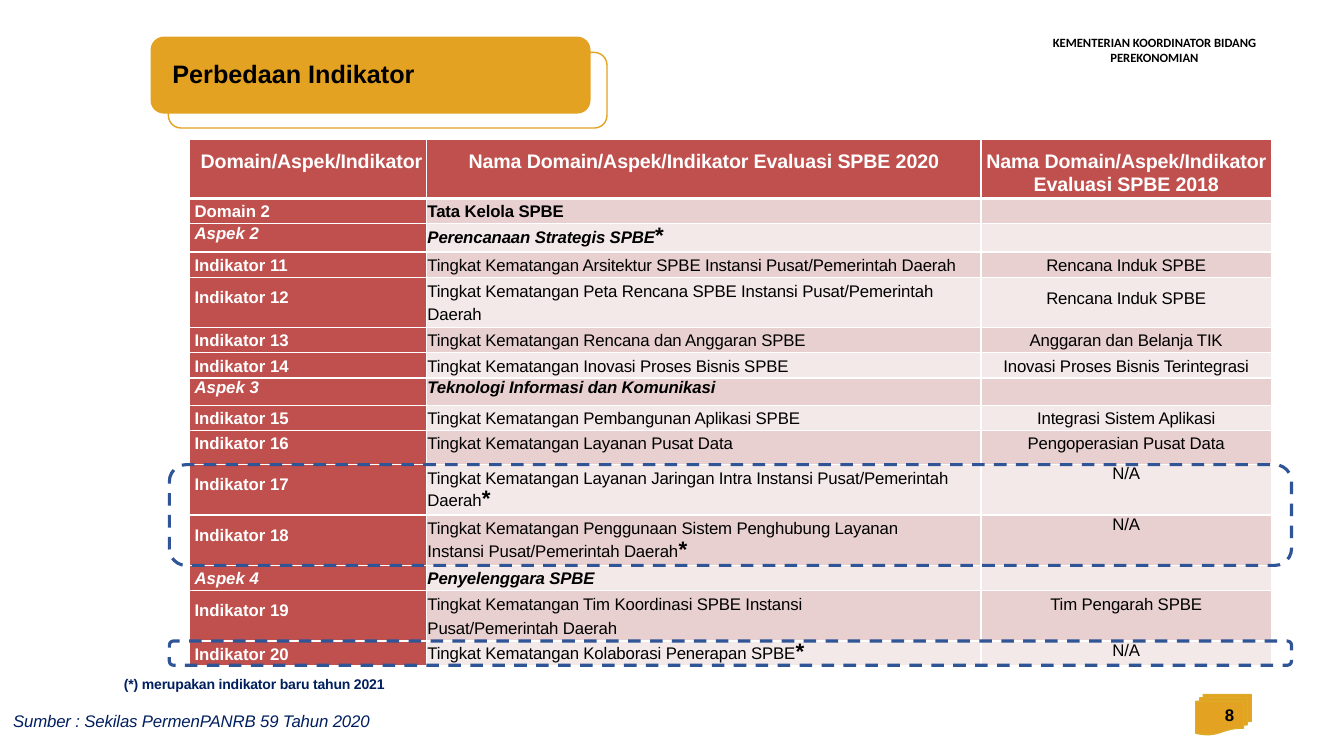
import itertools

import lxml.etree
import pptx
import pptx.dml.color
import pptx.enum.dml
import pptx.enum.shapes
import pptx.enum.text
import pptx.oxml.ns
import pptx.util

RGBColor = pptx.dml.color.RGBColor
Inches = pptx.util.Inches
Pt = pptx.util.Pt
Align = pptx.enum.text.PP_ALIGN
Anchor = pptx.enum.text.MSO_ANCHOR
Shape = pptx.enum.shapes.MSO_SHAPE

BLACK = RGBColor(0x00, 0x00, 0x00)
WHITE = RGBColor(0xFF, 0xFF, 0xFF)
GOLD = RGBColor(0xE3, 0xA2, 0x21)
DARK_GOLD = RGBColor(0xDC, 0xAB, 0x27)
RED = RGBColor(0xC0, 0x50, 0x4D)
PINK = RGBColor(0xE8, 0xD0, 0xD0)
PALE_PINK = RGBColor(0xF4, 0xE9, 0xE9)
NAVY = RGBColor(0x00, 0x1F, 0x5F)
FRAME_BLUE = RGBColor(0x2F, 0x55, 0x97)

TABLE_BOX = (1.88, 1.38, 10.73, 5.23)
COLUMN_WIDTHS = (2.35, 5.5, 2.88)
HEADER_HEIGHT = 0.59
HEADINGS = ("Domain/Aspek/Indikator",
            "Nama Domain/Aspek/Indikator Evaluasi SPBE 2020",
            "Nama Domain/Aspek/Indikator Evaluasi SPBE 2018")

# Row height, label, name in 2020 (a final * marks a new indicator), name in 2018
ROWS = (
    (0.25, "Domain 2", "Tata Kelola SPBE", ""),
    (0.28, "Aspek 2", "Perencanaan Strategis SPBE*", ""),
    (0.25, "Indikator 11", "Tingkat Kematangan Arsitektur SPBE Instansi Pusat/Pemerintah Daerah",
     "Rencana Induk SPBE"),
    (0.5, "Indikator 12", "Tingkat Kematangan Peta Rencana SPBE Instansi Pusat/Pemerintah\nDaerah",
     "Rencana Induk SPBE"),
    (0.25, "Indikator 13", "Tingkat Kematangan Rencana dan Anggaran SPBE", "Anggaran dan Belanja TIK"),
    (0.25, "Indikator 14", "Tingkat Kematangan Inovasi Proses Bisnis SPBE",
     "Inovasi Proses Bisnis Terintegrasi"),
    (0.27, "Aspek 3", "Teknologi Informasi dan Komunikasi", ""),
    (0.25, "Indikator 15", "Tingkat Kematangan Pembangunan Aplikasi SPBE", "Integrasi Sistem Aplikasi"),
    (0.34, "Indikator 16", "Tingkat Kematangan Layanan Pusat Data", "Pengoperasian Pusat Data"),
    (0.5, "Indikator 17",
     "Tingkat Kematangan Layanan Jaringan Intra Instansi Pusat/Pemerintah Daerah*", "N/A"),
    (0.5, "Indikator 18",
     "Tingkat Kematangan Penggunaan Sistem Penghubung Layanan Instansi Pusat/Pemerintah Daerah*", "N/A"),
    (0.25, "Aspek 4", "Penyelenggara SPBE", ""),
    (0.5, "Indikator 19", "Tingkat Kematangan Tim Koordinasi SPBE Instansi Pusat/Pemerintah Daerah",
     "Tim Pengarah SPBE"),
    (0.24, "Indikator 20", "Tingkat Kematangan Kolaborasi Penerapan SPBE*", "N/A"),
)
NEW_ROW_RANGES = ((9, 10), (13, 13))
NARROW_LABELS = ("Indikator 18", "Indikator 19")


def inches(box):
    return [Inches(length) for length in box]


def write_text(frame, text, size=12, color=BLACK, font="Arial", bold=False, italic=False,
               align=Align.LEFT, line_spacing=None, tracking=0):
    """Fill a text frame; a final * becomes a larger bold mark."""
    frame.word_wrap = True
    for index, line in enumerate(text.split("\n")):
        para = frame.paragraphs[0] if index == 0 else frame.add_paragraph()
        para.alignment = align
        if line_spacing:
            para.line_spacing = Pt(line_spacing)
        body = line.removesuffix("*")
        parts = [(body, size, bold, italic)]
        if body != line:
            parts.append(("*", 16, True, False))
        for words, points, heavy, slanted in parts:
            span = para.add_run()
            span.text = words
            span.font.size, span.font.name = Pt(points), font
            span.font.bold, span.font.italic = heavy, slanted
            span.font.color.rgb = color
            if tracking:
                span.font._element.set("spc", str(round(tracking * 100)))


def add_outline(page, kind, box, fill=None, line=GOLD, width=1, dashed=False):
    shape = page.shapes.add_shape(kind, *inches(box))
    shape.shadow.inherit = False
    if fill is None:
        shape.fill.background()
    else:
        shape.fill.solid()
        shape.fill.fore_color.rgb = fill
    shape.line.color.rgb = line
    shape.line.width = Pt(width)
    if dashed:
        shape.line.dash_style = pptx.enum.dml.MSO_LINE.DASH


def add_label(page, box, text, margins=None, anchor=Anchor.TOP, **text_format):
    frame = page.shapes.add_textbox(*inches(box)).text_frame
    frame.vertical_anchor = anchor
    if margins:
        (frame.margin_left, frame.margin_top,
         frame.margin_right, frame.margin_bottom) = inches(margins)
    write_text(frame, text, **text_format)


def add_title(page, box):
    """Gold plate, its offset outline and the title on top."""
    left, top, width, height = box
    add_outline(page, Shape.ROUNDED_RECTANGLE, box, fill=GOLD)
    add_outline(page, Shape.ROUNDED_RECTANGLE, (left + 0.17, top + 0.15, width, height))
    title = page.shapes.title
    title.left, title.top, title.width, title.height = inches(
        (left + 0.11, top + 0.16, width - 0.22, 0.4))
    title.text_frame.vertical_anchor = Anchor.TOP
    title.text_frame.auto_size = pptx.enum.text.MSO_AUTO_SIZE.NONE
    write_text(title.text_frame, "Perbedaan Indikator", size=18, bold=True)
    title.element.getparent().append(title.element)


def style_cell(cell, fill, margins, is_header=False, below_header=False):
    """White borders, thick under the header, and a plain fill."""
    (cell.margin_left, cell.margin_top,
     cell.margin_right, cell.margin_bottom) = inches(margins)
    cell.vertical_anchor = Anchor.TOP
    properties = cell._tc.get_or_add_tcPr()
    thick_edge = "lnB" if is_header else "lnT" if below_header else ""
    for edge in ("lnL", "lnR", "lnT", "lnB"):
        line = lxml.etree.SubElement(properties, pptx.oxml.ns.qn("a:" + edge),
                                     w=str(Pt(3 if edge == thick_edge else 1)))
        solid = lxml.etree.SubElement(line, pptx.oxml.ns.qn("a:solidFill"))
        lxml.etree.SubElement(solid, pptx.oxml.ns.qn("a:srgbClr"), val=str(WHITE))
    cell.fill.solid()
    cell.fill.fore_color.rgb = fill


def fill_row(table, number, height, label, name, old_name):
    band = PINK if number % 2 else PALE_PINK
    is_aspect, is_indicator = label.startswith("Aspek"), label.startswith("Indikator")
    is_tall = height == 0.5
    spacing = None if label in ("Aspek 2", "Aspek 3") else 16.8 if is_tall else 16.3
    label_top = 0.11 if is_tall else 0
    old_top = 0.12 if label == "Indikator 12" else 0
    name_right = 0.6 if label in NARROW_LABELS else 0
    label_cell, name_cell, old_cell = (table.cell(number, column) for column in range(3))
    below = number == 1
    style_cell(label_cell, RED, (0.05, label_top, 0, 0), below_header=below)
    style_cell(name_cell, band, (0.01, 0, name_right, 0), below_header=below)
    style_cell(old_cell, band, (0, old_top, 0, 0), below_header=below)
    write_text(label_cell.text_frame, label, color=WHITE, bold=True, italic=is_aspect,
               line_spacing=None if is_tall else spacing)
    write_text(name_cell.text_frame, name, bold=not is_indicator, italic=is_aspect,
               line_spacing=spacing, tracking=-0.1)
    if old_name:
        natural = old_name == "N/A" or old_top
        write_text(old_cell.text_frame, old_name, align=Align.CENTER,
                   line_spacing=None if natural else spacing, tracking=-0.1)
    else:
        # A small paragraph mark keeps an empty cell from stretching its row
        lxml.etree.SubElement(old_cell.text_frame.paragraphs[0]._p,
                              pptx.oxml.ns.qn("a:endParaRPr"), sz="1000")


def add_indicator_table(page, box):
    table = page.shapes.add_table(len(ROWS) + 1, len(COLUMN_WIDTHS), *inches(box)).table
    heights = [HEADER_HEIGHT] + [row[0] for row in ROWS]
    for column, width in zip(table.columns, COLUMN_WIDTHS):
        column.width = Inches(width)
    for row, height in zip(table.rows, heights):
        row.height = Inches(height)
    for column, heading in enumerate(HEADINGS):
        cell = table.cell(0, column)
        style_cell(cell, RED, (0 if column else 0.11, 0.12, 0, 0), is_header=True)
        write_text(cell.text_frame, heading, size=14, color=WHITE, bold=True, tracking=-0.1,
                   align=Align.CENTER if column else Align.LEFT)
    for number, row in enumerate(ROWS, start=1):
        fill_row(table, number, *row)


def add_new_row_frames(page, box):
    """Dashed frames around the rows that are new."""
    left, top, width, _ = box
    edges = list(itertools.accumulate((row[0] for row in ROWS), initial=top + HEADER_HEIGHT))
    for first, last in NEW_ROW_RANGES:
        frame_box = (left - 0.2, edges[first], width + 0.4, edges[last + 1] - edges[first])
        add_outline(page, Shape.ROUNDED_RECTANGLE, frame_box, line=FRAME_BLUE,
                    width=2.25, dashed=True)


def add_page_number(page, box):
    left, top, width, height = box
    add_outline(page, Shape.FLOWCHART_MULTIDOCUMENT, box, fill=GOLD, line=DARK_GOLD)
    add_label(page, (left, top, width - 0.07, height), "8", bold=True,
              align=Align.RIGHT, anchor=Anchor.MIDDLE)


def add_notes_below(page, box):
    left, top, width, _ = box
    add_label(page, (left + 1.1, top, width, 0.18), "(*) merupakan indikator baru tahun 2021",
              margins=(0.01, 0.01, 0, 0), size=10, color=NAVY, bold=True, tracking=-0.1)
    add_label(page, (left, top + 0.35, width, 0.36), "Sumber : Sekilas PermenPANRB 59 Tahun 2020",
              margins=(0.01, 0.01, 0, 0), color=NAVY, italic=True, tracking=-0.1)


def main():
    deck = pptx.Presentation()
    deck.slide_width, deck.slide_height = Inches(13.33), Inches(7.5)
    page = deck.slides.add_slide(deck.slide_layouts[5])
    add_label(page, (10.03, 0.3, 2.84, 0.51), "KEMENTERIAN KOORDINATOR BIDANG PEREKONOMIAN",
              size=9, font="Calibri", bold=True, align=Align.CENTER)
    add_title(page, (1.5, 0.37, 4.35, 0.75))
    add_indicator_table(page, TABLE_BOX)
    add_new_row_frames(page, TABLE_BOX)
    add_page_number(page, (11.86, 6.89, 0.55, 0.4))
    add_notes_below(page, (0.12, 6.69, 9.83, 0.71))
    deck.save("out.pptx")


if __name__ == "__main__":
    main()
